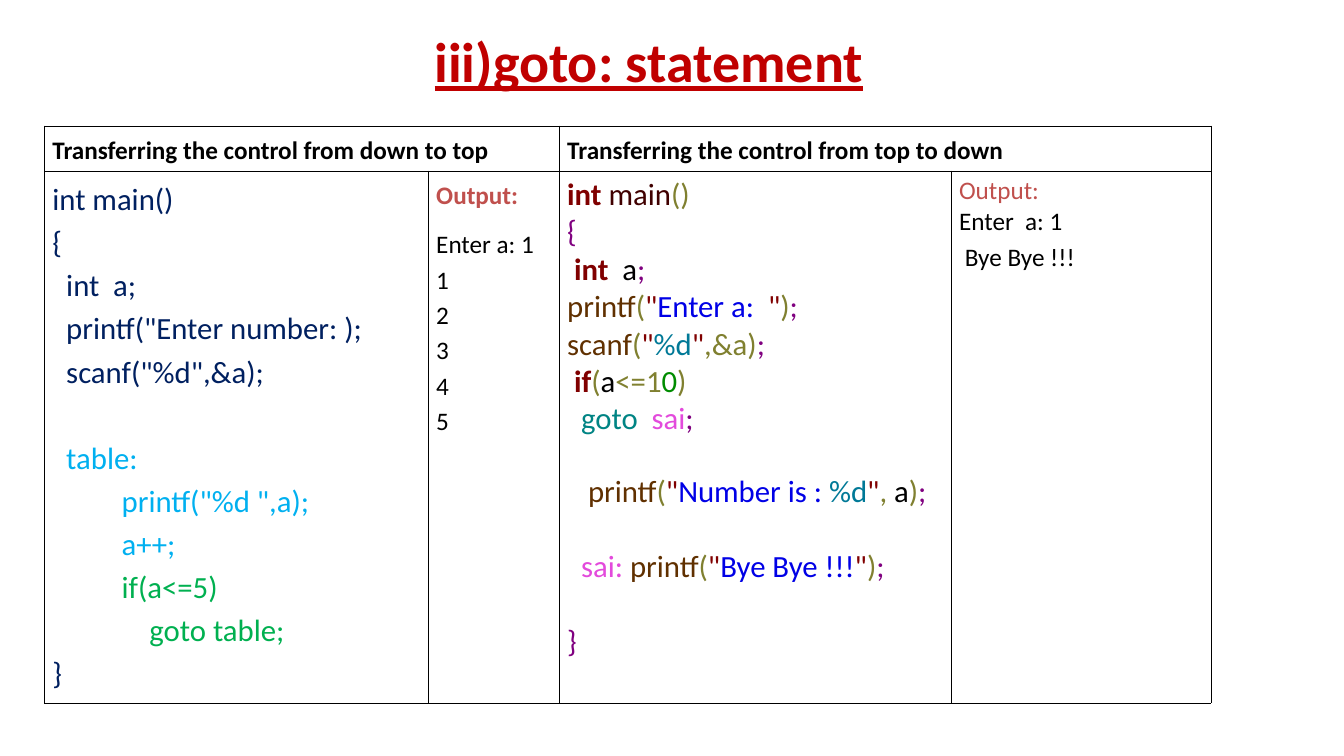
import pptx
import pptx.dml.color
import pptx.enum.text
import pptx.oxml
import pptx.oxml.ns
import pptx.util

PX = 9144
THEME = {
    "font": "Calibri",
    "size": {"title": 40, "code": 22, "body": 18},
    "color": {
        "title": "C00000", "text": "000000", "output": "C0504D",
        "navy": "002060", "label": "00B0F0", "branch": "00B050",
        "keyword": "800000", "quote": "800000", "main": "400000",
        "paren": "808030", "brace": "800080", "call": "603000",
        "string": "0000E6", "format": "007997", "number": "008C00",
        "goto": "008484", "target": "E34ADC",
    },
}


def write(tf, runs, size="body", spacing=1, before=0, after=0, bold=False, underline=False, align=None):
    p = tf.paragraphs[-1]
    if p.runs:
        p = tf.add_paragraph()
    p.line_spacing = spacing
    p.space_before = pptx.util.Pt(before)
    p.space_after = pptx.util.Pt(after)
    p.alignment = align
    for text, color in runs:
        r = p.add_run()
        r.text = text
        r.font.name = THEME["font"]
        r.font.size = pptx.util.Pt(THEME["size"][size])
        r.font.bold = bold or color == "keyword"
        r.font.underline = underline
        r.font.color.rgb = pptx.dml.color.RGBColor.from_string(THEME["color"][color])


prs = pptx.Presentation()
prs.slide_width = 1334 * PX
prs.slide_height = 750 * PX
s = prs.slides.add_slide(prs.slide_layouts[6])

sp = s.shapes.add_textbox(44 * PX, 20 * PX, 1200 * PX, 80 * PX)
tf = sp.text_frame
tf.word_wrap = True
tf.vertical_anchor = pptx.enum.text.MSO_ANCHOR.MIDDLE
write(tf, [("iii)goto: statement", "title")], size="title", bold=True, underline=True,
      align=pptx.enum.text.PP_ALIGN.CENTER)

widths = [381, 130, 389, 258]
heights = [44, 528]
table = s.shapes.add_table(2, 4, 44 * PX, 125 * PX, sum(widths) * PX, sum(heights) * PX).table
table.first_row = False
table.horz_banding = False
for column, width in zip(table.columns, widths):
    column.width = width * PX
for row, height in zip(table.rows, heights):
    row.height = height * PX

for cell in table.iter_cells():
    cell.margin_left = cell.margin_right = 8 * PX
    cell.margin_top = cell.margin_bottom = 5 * PX
    cell.fill.background()
    tcPr = cell._tc.get_or_add_tcPr()
    for i, side in enumerate(["lnL", "lnR", "lnT", "lnB"]):
        ln = pptx.oxml.parse_xml(
            f'<a:{side} {pptx.oxml.ns.nsdecls("a")} w="5715"><a:solidFill>'
            f'<a:srgbClr val="{THEME["color"]["text"]}"/></a:solidFill></a:{side}>')
        tcPr.insert(i, ln)

headings = ["Transferring the control from down to top", "Transferring the control from top to down"]
for i, heading in enumerate(headings):
    cell = table.cell(0, 2 * i)
    cell.merge(table.cell(0, 2 * i + 1))
    write(cell.text_frame, [(heading, "text")], spacing=1.15, bold=True)

up_code = [
    ("int main()", "navy", 0),
    ("{", "navy", 0),
    ("  int  a;", "navy", 0),
    ('  printf("Enter number: );', "navy", 0),
    ('  scanf("%d",&a);', "navy", 0),
    ("  table:", "label", 31),
    ('          printf("%d ",a);', "label", 0),
    ("          a++;", "label", 0),
    ("          if(a<=5)", "branch", 0),
    ("              goto table;", "branch", 0),
    ("}", "navy", 0),
]
tf = table.cell(1, 0).text_frame
for text, color, before in up_code:
    write(tf, [(text, color)], size="code", spacing=1.15, before=before)

tf = table.cell(1, 1).text_frame
write(tf, [("Output:", "output")], spacing=1.15, after=10, bold=True)
for text in ["Enter a: 1", "1", "2", "3", "4", "5"]:
    write(tf, [(text, "text")], spacing=1.15)

opening = [("(", "paren"), ('"', "quote")]
closing = [('"', "quote"), (")", "paren"), (";", "brace")]
down_code = [
    (0, [("int ", "keyword"), ("main", "main"), ("()", "paren")]),
    (0, [("{", "brace")]),
    (0, [(" ", "text"), ("int", "keyword"), ("  a", "text"), (";", "brace")]),
    (0, [("printf", "call"), *opening, ("Enter a:  ", "string"), *closing]),
    (0, [("scanf", "call"), *opening, ("%d", "format"), ('"', "quote"), (",&a)", "paren"), (";", "brace")]),
    (0, [(" ", "text"), ("if", "keyword"), ("(", "paren"), ("a", "text"), ("<=1", "paren"),
         ("0", "number"), (")", "paren")]),
    (0, [("  ", "text"), ("goto ", "goto"), (" sai", "target"), (";", "brace")]),
    (25, [("   ", "text"), ("printf", "call"), *opening, ("Number is : ", "string"), ("%d", "format"),
          ('"', "quote"), (",", "paren"), (" a", "text"), (")", "paren"), (";", "brace")]),
    (27, [("  sai: ", "target"), ("printf", "call"), *opening, ("Bye Bye !!!", "string"), *closing]),
    (27, [("}", "brace")]),
]
tf = table.cell(1, 2).text_frame
for before, runs in down_code:
    write(tf, runs, size="code", before=before)

tf = table.cell(1, 3).text_frame
write(tf, [("Output:", "output")])
write(tf, [("Enter  a: 1", "text")])
write(tf, [(" Bye Bye !!!", "text")], spacing=1.15)

prs.save("out.pptx")
